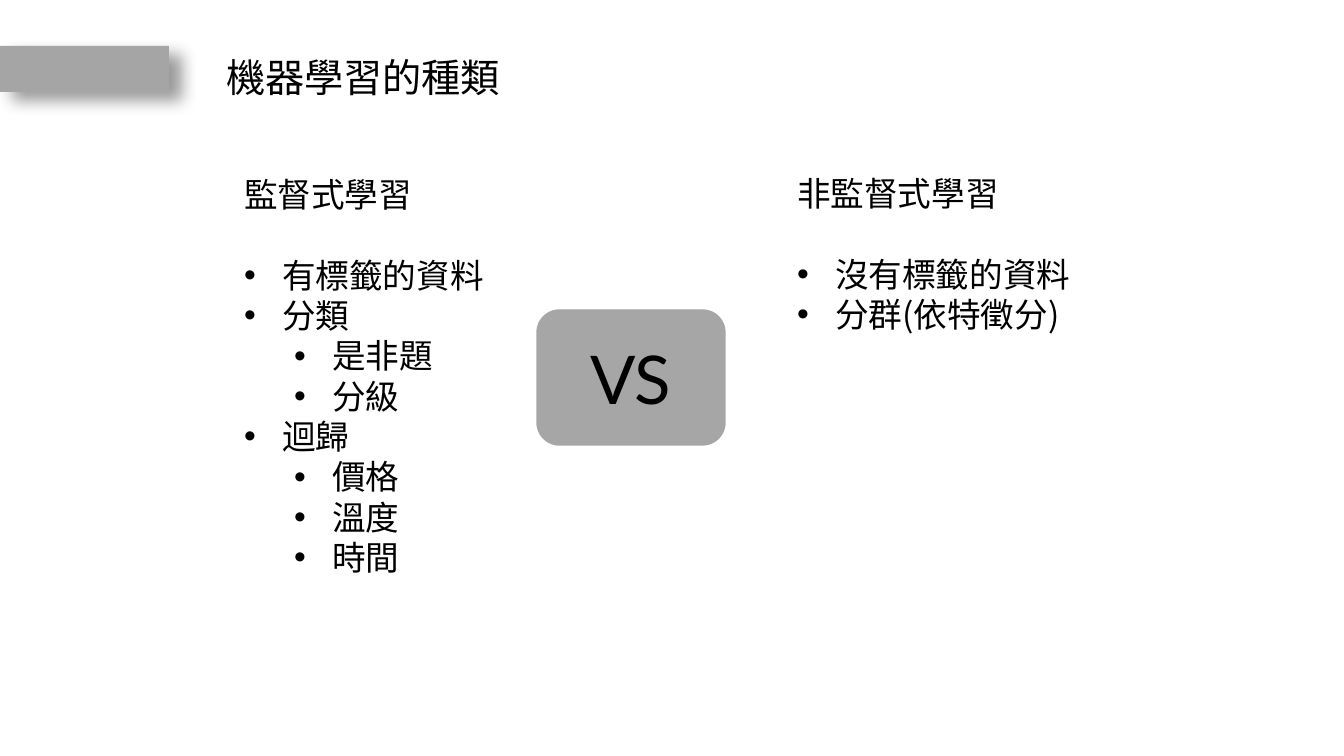
from lxml.etree import SubElement
from pptx import Presentation
from pptx.dml.color import RGBColor
from pptx.enum.shapes import MSO_SHAPE
from pptx.enum.text import MSO_ANCHOR, MSO_AUTO_SIZE, PP_ALIGN
from pptx.oxml.ns import qn
from pptx.util import Emu, Pt

PIXEL = 12192000 / 1344
CHINESE, LATIN = "Noto Sans CJK SC", "Lato"


def px(value):
    return Emu(round(value * PIXEL))


def write(paragraph, text, size, font):
    """Add one formatted run; Chinese lines get a fixed height of 1.2 em."""
    span = paragraph.add_run()
    span.text = text
    for name, value in {"name": font, "size": Pt(size), "bold": False}.items():
        setattr(span.font, name, value)
    span.font.color.rgb = RGBColor.from_string("000000")
    SubElement(span.font._element, qn("a:ea"), typeface=font)
    if font == CHINESE:
        paragraph.line_spacing = Pt(size * 1.2)


deck = Presentation()
deck.slide_width, deck.slide_height = px(1344), px(756)
page = deck.slides.add_slide(deck.slide_layouts[3])
title, left_list, right_list = page.placeholders

# Placeholder positions and frames
for box, place in (
    (title, (216, 48, 297, 57)),
    (left_list, (234, 169, 262, 417)),
    (right_list, (787, 168, 296, 173)),
):
    box.left, box.top, box.width, box.height = map(px, place)
    for name, value in {"auto_size": MSO_AUTO_SIZE.NONE, "word_wrap": True,
                        "vertical_anchor": MSO_ANCHOR.TOP}.items():
        setattr(box.text_frame, name, value)

# Title
heading = title.text_frame.paragraphs[0]
heading.alignment = PP_ALIGN.LEFT
write(heading, "機器學習的種類", 28, CHINESE)

# Two lists: a heading, then bullets as (level, text)
lists = (
    (left_list, "監督式學習",
     ((0, "有標籤的資料"), (0, "分類"), (1, "是非題"), (1, "分級"),
      (0, "迴歸"), (1, "價格"), (1, "溫度"), (1, "時間"))),
    (right_list, "非監督式學習",
     ((0, "沒有標籤的資料"), (0, "分群(依特徵分)"))),
)
for box, name, bullets in lists:
    frame = box.text_frame
    for index, (level, text) in enumerate(((0, name),) + bullets):
        paragraph = frame.add_paragraph() if index else frame.paragraphs[0]
        paragraph.level = level
        paragraph.space_before = Pt(28.8 if index == 1 else 0)
        write(paragraph, text, 24, CHINESE)
        properties = paragraph._p.get_or_add_pPr()
        if index:
            properties.set("marL", str(px(38 + 50 * level)))
            properties.set("indent", str(px(-38)))
            SubElement(properties, qn("a:buFont"), typeface="Arial")
            SubElement(properties, qn("a:buChar"), char="•")
        else:
            properties.set("marL", "0")
            properties.set("indent", "0")
            SubElement(properties, qn("a:buNone"))

# Accent bar and VS badge
shapes = []
for kind, place, color in (
    (MSO_SHAPE.RECTANGLE, (0, 46, 169, 46), "A5A5A5"),
    (MSO_SHAPE.ROUNDED_RECTANGLE, (537, 310, 188, 135), "A6A6A6"),
):
    shape = page.shapes.add_shape(kind, *map(px, place))
    shape.shadow.inherit = False
    shape.fill.solid()
    shape.fill.fore_color.rgb = RGBColor.from_string(color)
    shapes.append(shape)
bar, badge = shapes

bar.line.fill.background()
effects = bar._element.spPr.find(qn("a:effectLst"))
shadow = SubElement(effects, qn("a:outerShdw"), blurRad=str(Pt(12)),
                    dist=str(Pt(11)), dir="2100000", algn="tl", rotWithShape="0")
shade = SubElement(shadow, qn("a:srgbClr"), val="000000")
SubElement(shade, qn("a:alpha"), val="40000")

badge.line.color.rgb = RGBColor.from_string("A6A6A6")
badge.line.width = Pt(1)
badge.text_frame.vertical_anchor = MSO_ANCHOR.MIDDLE
versus = badge.text_frame.paragraphs[0]
versus.alignment = PP_ALIGN.CENTER
write(versus, "VS", 48, LATIN)

deck.save("out.pptx")
